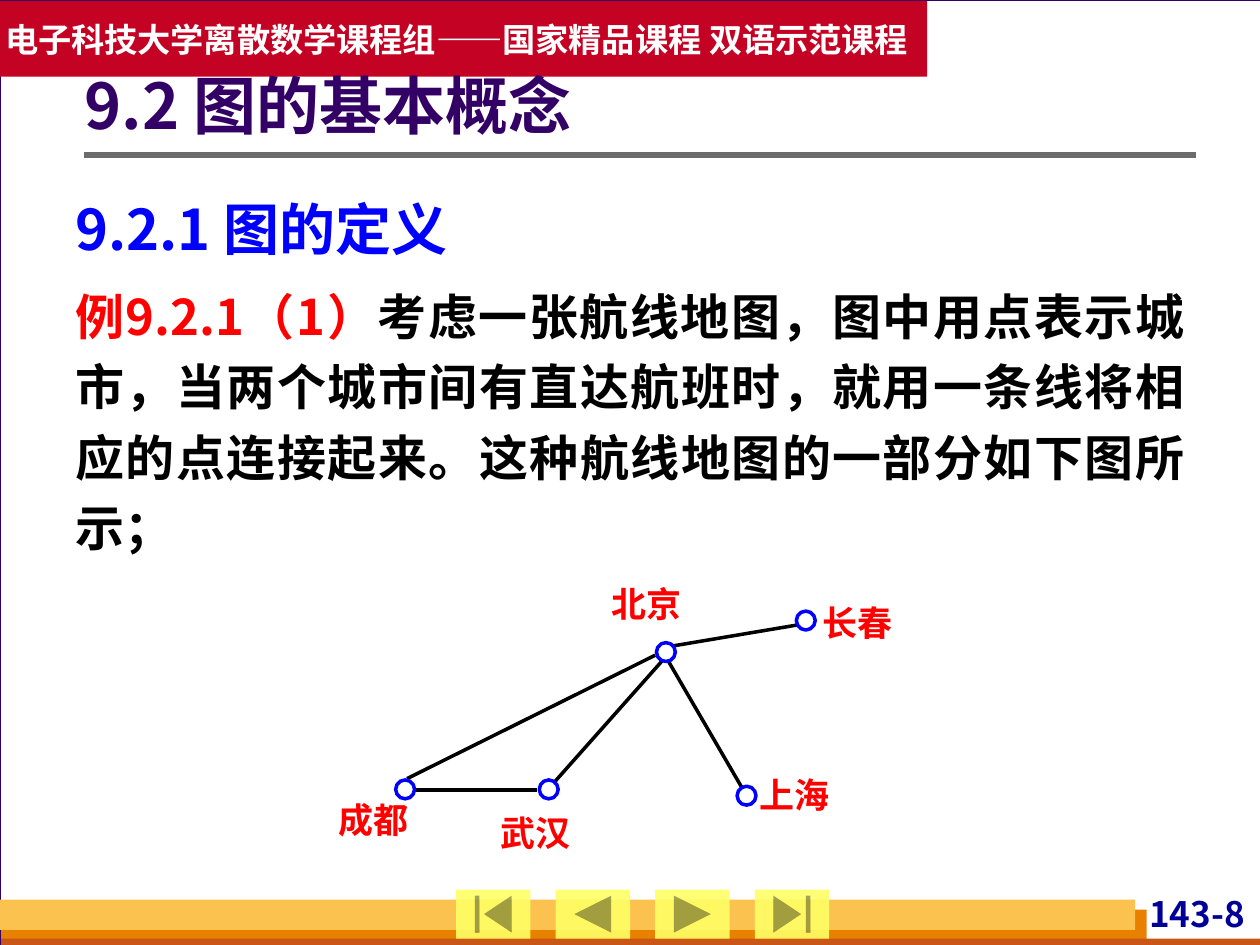
"""Build the slide on the definition of a graph, with its airline map."""
from dataclasses import dataclass

from lxml import etree
from pptx import Presentation
from pptx import util as u
from pptx.dml.color import RGBColor
from pptx.enum import shapes, text
from pptx.oxml.ns import qn

SHAPE = shapes.MSO_SHAPE
ALIGN = text.PP_ALIGN
ANCHOR = text.MSO_ANCHOR


@dataclass(frozen=True)
class Theme:
    font: str = "Noto Sans CJK SC"
    label_font: str = "Times New Roman"
    backdrop: str = "D8DADA"
    white: str = "FFFFFF"
    black: str = "000000"
    purple: str = "330066"
    blue: str = "0000FF"
    navy: str = "000099"
    red: str = "FF0000"
    banner: str = "C30224"
    grey: str = "6B6B6B"
    orange: str = "E88000"
    rust: str = "C95616"
    gold: str = "FCC24F"
    yellow: str = "FFFF66"
    title: int = 36
    heading: int = 32
    body: int = 28
    small: int = 20
    header: int = 19


class Deck:
    def __init__(self, theme):
        self.theme = theme
        self.prs = Presentation()
        self.prs.slide_width, self.prs.slide_height = u.Inches(10), u.Inches(7.5)
        self.s = self.prs.slides.add_slide(self.prs.slide_layouts[6])
        fill = self.s.background.fill
        fill.solid()
        fill.fore_color.rgb = RGBColor.from_string(theme.backdrop)

    def shape(self, kind, box, fill, line=None, width=1, alpha=None):
        sp = self.s.shapes.add_shape(kind, *map(u.Inches, box))
        sp.shadow.inherit = False
        sp.fill.solid()
        sp.fill.fore_color.rgb = RGBColor.from_string(fill)
        if alpha is not None:
            color = sp.fill._xPr.find(qn("a:solidFill"))[0]
            etree.SubElement(color, qn("a:alpha"), val=str(alpha * 1000))
        if line:
            sp.line.color.rgb = RGBColor.from_string(line)
            sp.line.width = u.Pt(width)
        else:
            sp.line.fill.background()
        return sp

    def line(self, start, end, color, width):
        ends = map(u.Inches, (*start, *end))
        cn = self.s.shapes.add_connector(shapes.MSO_CONNECTOR.STRAIGHT, *ends)
        cn.line.color.rgb = RGBColor.from_string(color)
        cn.line.width = u.Pt(width)
        etree.SubElement(cn._element.spPr, qn("a:effectLst"))

    def frame(self, box, insets=(0, 0, 0, 0), anchor=ANCHOR.TOP):
        sp = self.s.shapes.add_textbox(*map(u.Inches, box))
        return self.setup(sp.text_frame, insets, anchor)

    def setup(self, tf, insets, anchor):
        tf.word_wrap = True
        tf.vertical_anchor = anchor
        (tf.margin_left, tf.margin_top,
         tf.margin_right, tf.margin_bottom) = map(u.Inches, insets)
        return tf

    def paragraph(self, p, runs, size, font=None, align=ALIGN.LEFT,
                  spacing=None, before=0):
        p.alignment = align
        p.line_spacing = spacing
        p.space_before = u.Pt(before)
        p.font.size, p.font.bold = u.Pt(size), True
        p.font.name = font or self.theme.font
        colors = {color for _, color in runs}
        if len(colors) == 1:
            p.font.color.rgb = RGBColor.from_string(*colors)
        for words, color in runs:
            r = p.add_run()
            r.text = words
            if len(colors) > 1:
                r.font.color.rgb = RGBColor.from_string(color)
            etree.SubElement(r._r.get_or_add_rPr(), qn("a:ea"),
                             typeface=self.theme.font)

    def city(self, name, left, top):
        t = self.theme
        tf = self.frame((left, top, 0.79, 0.33))
        self.paragraph(tf.paragraphs[0], [(name, t.red)], t.small,
                       t.label_font, ALIGN.JUSTIFY)

    def node(self, left, top):
        t = self.theme
        self.shape(SHAPE.OVAL, (left, top, 0.15, 0.15), t.white, t.blue, 2)


def main():
    t = Theme()
    deck = Deck(t)

    deck.shape(SHAPE.RECTANGLE, (0, 0, 10.01, 7.5), t.white, t.purple, 0.75)
    for box, color in (((0.01, 7.22, 9.09, 0.28), t.orange),
                       ((0.01, 7.45, 10, 0.08), t.rust),
                       ((0, 7.14, 9.01, 0.24), t.gold)):
        deck.shape(SHAPE.RECTANGLE, box, color)
    tf = deck.frame((8.7, 7.08, 1.22, 0.38), (0.04, 0, 0.04, 0))
    deck.paragraph(tf.paragraphs[0], [("143-8", t.navy)], t.small,
                   align=ALIGN.RIGHT)
    deck.line((0.67, 1.23), (9.49, 1.23), t.grey, 3)

    buttons = (SHAPE.ACTION_BUTTON_BEGINNING, SHAPE.ACTION_BUTTON_BACK_OR_PREVIOUS,
               SHAPE.ACTION_BUTTON_FORWARD_OR_NEXT, SHAPE.ACTION_BUTTON_END)
    for i, kind in enumerate(buttons):
        deck.shape(kind, (3.62 + i * 0.79, 7.06, 0.59, 0.39), t.yellow, alpha=90)

    banner = deck.shape(SHAPE.RECTANGLE, (0, 0.01, 7.36, 0.6), t.banner)
    tf = deck.setup(banner.text_frame, (0.04, 0.05, 0.04, 0.05), ANCHOR.MIDDLE)
    deck.paragraph(tf.paragraphs[0],
                   [("电子科技大学离散数学课程组——国家精品课程 双语示范课程", t.white)],
                   t.header)

    tf = deck.frame((0.67, 0.36, 8.82, 1.01), (0, 0.05, 0.1, 0.05), ANCHOR.MIDDLE)
    deck.paragraph(tf.paragraphs[0], [("9.2 图的基本概念", t.purple)], t.title,
                   spacing=0.9)

    tf = deck.frame((0.5, 1.39, 9, 3.08), (0.1, 0.05, 0.1, 0.05))
    deck.paragraph(tf.paragraphs[0], [("9.2.1 图的定义", t.blue)], t.heading,
                   align=ALIGN.JUSTIFY, spacing=1.2)
    example = [("例9.2.1（1）", t.red),
               ("考虑一张航线地图，图中用点表示城市，当两个城市间有直达航班时，"
                "就用一条线将相应的点连接起来。这种航线地图的一部分如下图所示；", t.black)]
    deck.paragraph(tf.add_paragraph(), example, t.body,
                   align=ALIGN.JUSTIFY, spacing=1.2, before=7)

    routes = (((5.32, 5.13), (6.33, 4.96)), ((5.2, 5.2), (3.23, 6.18)),
              ((4.26, 6.27), (3.28, 6.27)), ((5.26, 5.24), (4.38, 6.23)),
              ((5.3, 5.24), (5.94, 6.34)))
    for start, end in routes:
        deck.line(start, end, t.black, 2)
    cities = (("长春", (6.53, 4.77), (6.32, 4.85)),
              ("北京", (4.85, 4.62), (5.21, 5.1)),
              ("成都", (2.69, 6.34), (3.14, 6.19)),
              ("武汉", (3.97, 6.44), (4.28, 6.19)),
              ("上海", (6.03, 6.14), (5.85, 6.24)))
    for name, label, dot in cities:
        deck.city(name, *label)
        deck.node(*dot)

    deck.prs.save("out.pptx")


if __name__ == "__main__":
    main()
